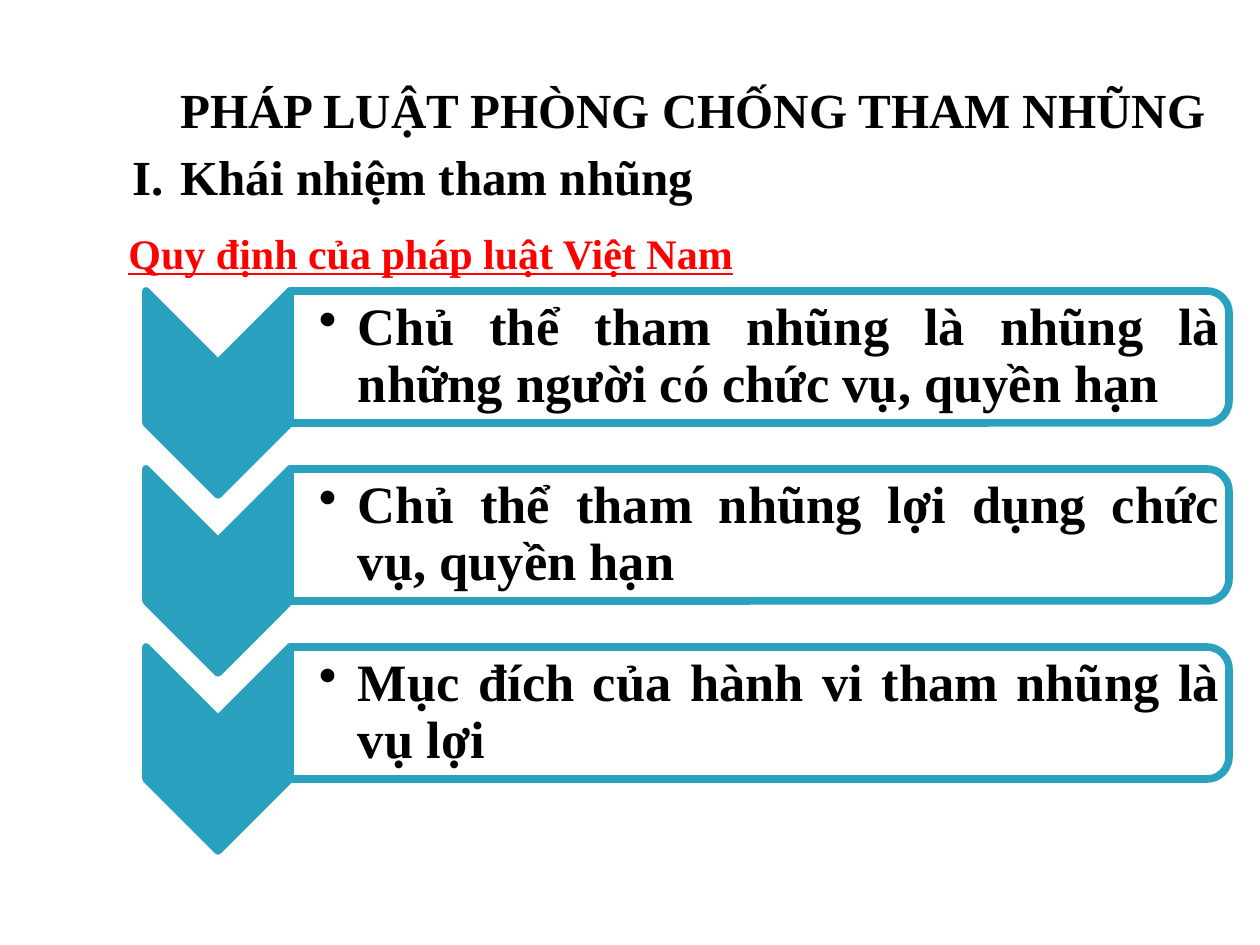
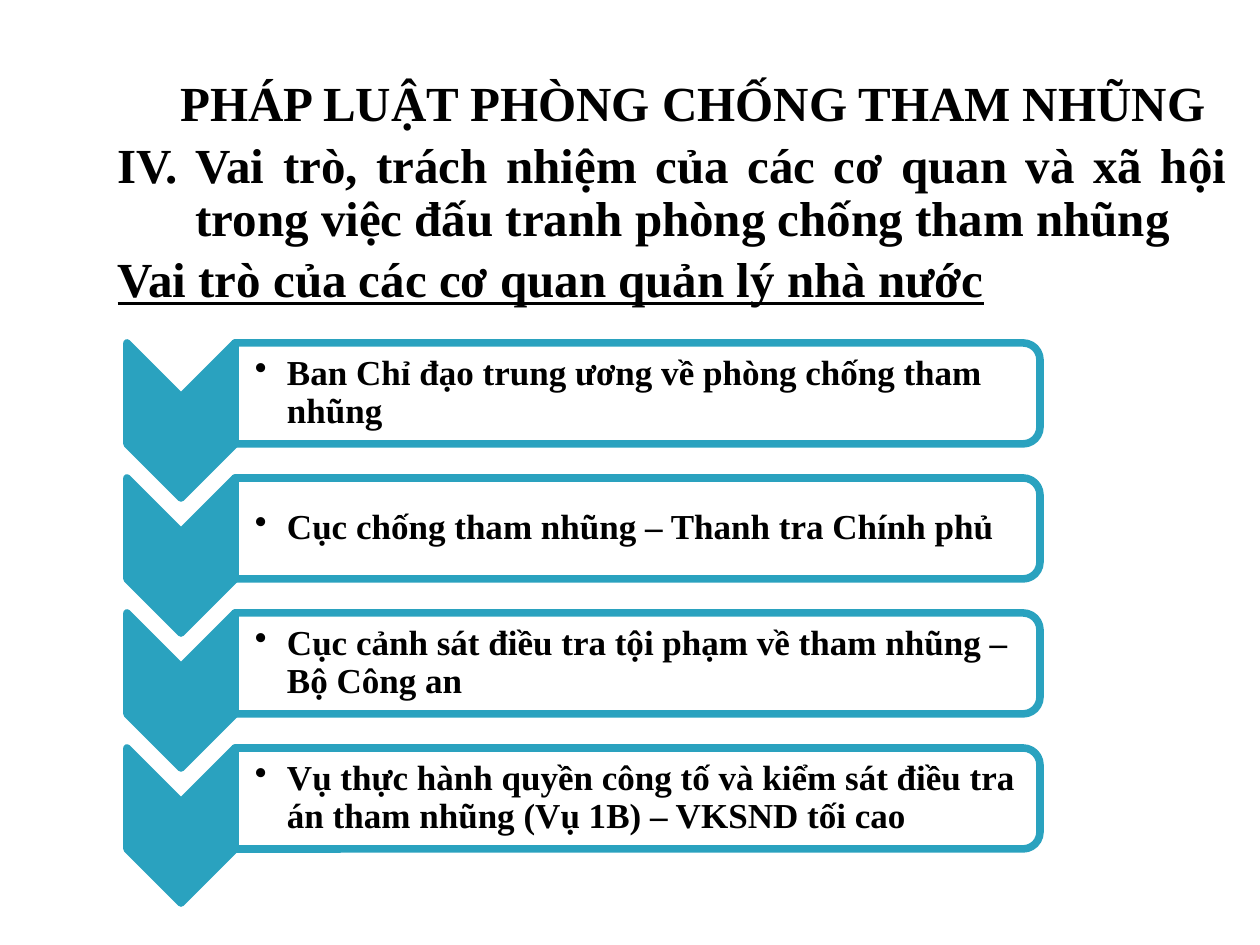
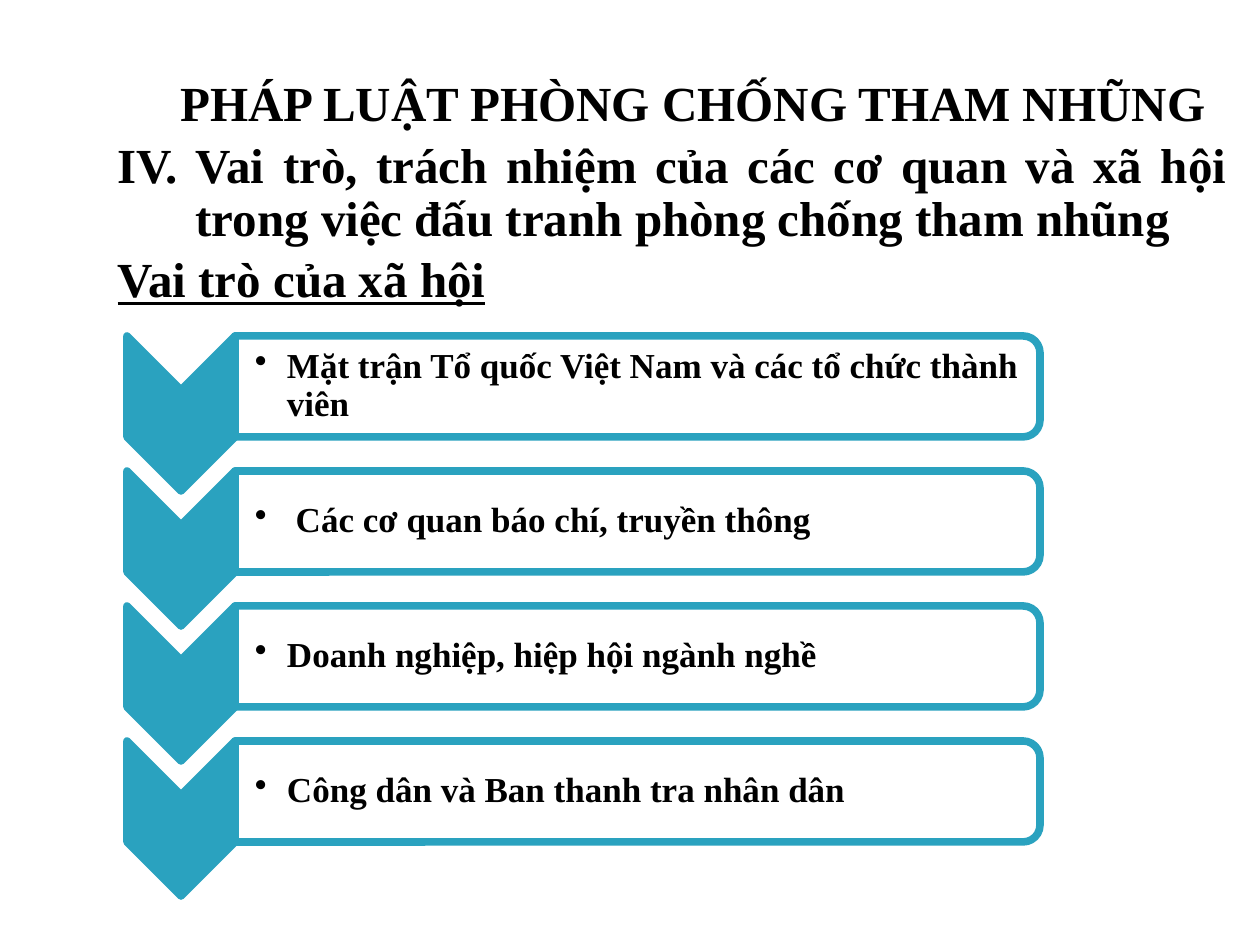
from dataclasses import dataclass
from lxml.etree import SubElement
from pptx import Presentation
from pptx.dml.color import RGBColor
from pptx.enum.shapes import MSO_SHAPE
from pptx.enum.text import MSO_ANCHOR, MSO_AUTO_SIZE, PP_ALIGN
from pptx.oxml.ns import qn
from pptx.util import Emu, Pt


@dataclass(frozen=True)
class Theme:
    font: str = "Times New Roman"
    black: RGBColor = RGBColor(0x00, 0x00, 0x00)
    white: RGBColor = RGBColor(0xFF, 0xFF, 0xFF)
    red: RGBColor = RGBColor(0xFF, 0x00, 0x00)
    teal: RGBColor = RGBColor(0x2A, 0xA2, 0xBF)
    heading_size: int = 28
    subheading_size: int = 24
    outline: float = 4.33
    tight: float = 0.9
    heading_gap: int = 5


@dataclass(frozen=True)
class ListStyle:
    """Measures of one chevron list, in px."""
    left: int
    pitch: int
    chevron_width: int
    chevron_height: int
    frame_width: int
    frame_height: int
    text_margin: int
    text_left: int
    text_inset: int
    indent: int
    size: int
    align: PP_ALIGN


THEME = Theme()
EMU_PER_PX = 914400 / 126
LARGE_LIST = ListStyle(146, 178, 144, 204, 939, 132, 6, 29, 3, 39, 30, PP_ALIGN.JUSTIFY)
SMALL_LIST = ListStyle(127, 135, 108, 155, 805, 101, 5, 20, 1, 32, 20, PP_ALIGN.LEFT)

COURSE_TITLE = "PHÁP LUẬT PHÒNG CHỐNG THAM NHŨNG"
ROLES_HEADING = ("IV. Vai trò, trách nhiệm của các cơ quan và xã hội "
                 "trong việc đấu tranh phòng chống tham nhũng")


def px(length):
    return Emu(round(length * EMU_PER_PX))


# Text helpers
def format_runs(para, size, color=THEME.black, underline=False):
    for span in para.runs:
        font = span.font
        font.name, font.size, font.bold = THEME.font, Pt(size), True
        font.color.rgb = color
        font.underline = underline


def set_indent(para, left, first=0):
    properties = para._p.get_or_add_pPr()
    properties.set("marL", str(px(left)))
    properties.set("indent", str(px(first)))
    return properties


def add_bullet(para, left, first, tag, **attributes):
    properties = set_indent(para, left, first)
    color = SubElement(properties, qn("a:buClr"))
    SubElement(color, qn("a:srgbClr"), val=str(THEME.black))
    SubElement(properties, qn(tag), **attributes)


def add_text_box(page, left, top, width, height, text):
    box = page.shapes.add_textbox(px(left), px(top), px(width), px(height))
    frame = box.text_frame
    frame.word_wrap = True
    frame.text = text
    return frame


# Heading block
def add_heading(page, height, lines, spacing):
    title = page.shapes.title
    title.left, title.top, title.width, title.height = map(px, (105, 73, 1134, height))
    frame = title.text_frame
    frame.auto_size = MSO_AUTO_SIZE.NONE
    frame.vertical_anchor = MSO_ANCHOR.TOP
    frame.text = "\n".join([COURSE_TITLE, *lines])
    for index, para in enumerate(frame.paragraphs):
        para.alignment = PP_ALIGN.JUSTIFY if index else PP_ALIGN.LEFT
        para.line_spacing = spacing
        if index:
            para.space_before = Pt(THEME.heading_gap)
        format_runs(para, THEME.heading_size)
    set_indent(frame.paragraphs[0], 63)
    return frame.paragraphs[1:]


# Chevron list
def add_turned_shape(page, kind, left, top, width, height, fill, adjustments):
    """Add a shape turned by 90 degrees that covers the given area."""
    shift = (width - height) / 2
    shape = page.shapes.add_shape(
        kind, px(left + shift), px(top - shift), px(height), px(width))
    shape.rotation = 90
    shape.shadow.inherit = False
    for index, value in enumerate(adjustments):
        shape.adjustments[index] = value
    shape.fill.solid()
    shape.fill.fore_color.rgb = fill
    shape.line.color.rgb = THEME.teal
    shape.line.width = Pt(THEME.outline)
    return shape


def add_list_item(page, top, text, style):
    add_turned_shape(page, MSO_SHAPE.CHEVRON, style.left, top, style.chevron_width,
                     style.chevron_height, THEME.teal, [0.5])
    frame_left = style.left + style.chevron_width
    panel = add_turned_shape(page, MSO_SHAPE.ROUND_2_SAME_RECTANGLE, frame_left, top,
                             style.frame_width, style.frame_height, THEME.white, [0.167, 0])
    fill_color = panel._element.spPr.find(qn("a:solidFill"))[0]
    SubElement(fill_color, qn("a:alpha"), val="90000")

    frame = add_text_box(page, frame_left, top + style.text_margin,
                         style.frame_width - style.text_margin,
                         style.frame_height - 2 * style.text_margin, text)
    frame.vertical_anchor = MSO_ANCHOR.MIDDLE
    frame.margin_left = px(style.text_left)
    frame.margin_top = frame.margin_right = frame.margin_bottom = px(style.text_inset)
    para = frame.paragraphs[0]
    add_bullet(para, style.indent, -style.indent, "a:buChar", char="•")
    para.alignment = style.align
    para.line_spacing = THEME.tight
    format_runs(para, style.size)


def add_chevron_list(page, top, items, style):
    for index, text in enumerate(items):
        add_list_item(page, top + index * style.pitch, text, style)


# Slides
def add_concept_page(page):
    section, = add_heading(page, 147, ["Khái nhiệm tham nhũng"], 1.0)
    add_bullet(section, 63, -48, "a:buAutoNum", type="romanUcPeriod")
    frame = add_text_box(page, 116, 221, 1102, 63, "Quy định của pháp luật Việt Nam")
    para = frame.paragraphs[0]
    para.alignment = PP_ALIGN.JUSTIFY
    format_runs(para, THEME.subheading_size, THEME.red, underline=True)
    add_chevron_list(page, 291, [
        "Chủ thể tham nhũng là nhũng là những người có chức vụ, quyền hạn",
        "Chủ thể tham nhũng lợi dụng chức vụ, quyền hạn",
        "Mục đích của hành vi tham nhũng là vụ lợi",
    ], LARGE_LIST)


def add_roles_page(page, subheading, list_top, items):
    paras = add_heading(page, 242, [ROLES_HEADING, subheading], THEME.tight)
    for para in paras:
        set_indent(para, 78, -78)
    format_runs(paras[-1], THEME.heading_size, underline=True)
    add_chevron_list(page, list_top, items, SMALL_LIST)


def main():
    deck = Presentation()
    deck.slide_width, deck.slide_height = px(1260), px(945)
    title_only = deck.slide_layouts[5]
    concept, agencies, society = [deck.slides.add_slide(title_only) for _ in range(3)]

    add_concept_page(concept)
    add_roles_page(agencies, "Vai trò của các cơ quan quản lý nhà nước", 343, [
        "Ban Chỉ đạo trung ương về phòng chống tham nhũng",
        "Cục chống tham nhũng – Thanh tra Chính phủ",
        "Cục cảnh sát điều tra tội phạm về tham nhũng – Bộ Công an",
        "Vụ thực hành quyền công tố và kiểm sát điều tra án tham nhũng "
        "(Vụ 1B) – VKSND tối cao",
    ])
    add_roles_page(society, "Vai trò của xã hội", 336, [
        "Mặt trận Tổ quốc Việt Nam và các tổ chức thành viên",
        " Các cơ quan báo chí, truyền thông",
        "Doanh nghiệp, hiệp hội ngành nghề",
        "Công dân và Ban thanh tra nhân dân",
    ])
    deck.save("out.pptx")


if __name__ == "__main__":
    main()
